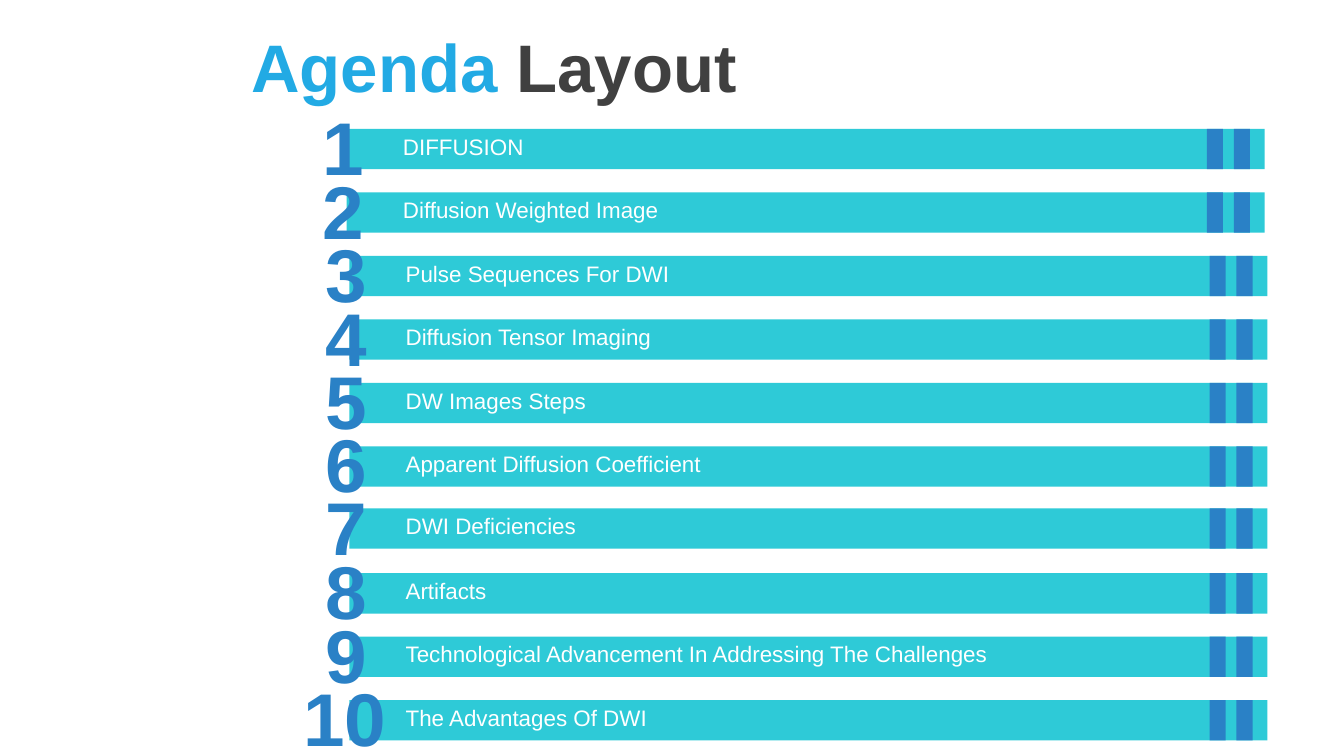
from dataclasses import dataclass

from pptx import Presentation
from pptx.dml.color import RGBColor
from pptx.enum.shapes import MSO_SHAPE
from pptx.enum.text import MSO_ANCHOR, MSO_AUTO_SIZE, PP_ALIGN
from pptx.util import Inches, Pt

RECTANGLE = MSO_SHAPE.RECTANGLE
TOP, MIDDLE = MSO_ANCHOR.TOP, MSO_ANCHOR.MIDDLE
LEFT, CENTER = PP_ALIGN.LEFT, PP_ALIGN.CENTER
GROW, NO_RESIZE = MSO_AUTO_SIZE.SHAPE_TO_FIT_TEXT, MSO_AUTO_SIZE.NONE
TITLE_ONLY = 5

SLIDE_WIDTH = 10
SLIDE_HEIGHT = SLIDE_WIDTH * 9 / 16
TOPICS = (
    "DIFFUSION",
    "Diffusion Weighted Image",
    "Pulse Sequences For DWI",
    "Diffusion Tensor Imaging",
    "DW Images Steps",
    "Apparent Diffusion Coefficient",
    "DWI Deficiencies",
    "Artifacts",
    "Technological Advancement In Addressing The Challenges",
    "The Advantages Of DWI",
)
FIRST_TOP, LAST_TOP = 0.96, 5.21
PITCH = (LAST_TOP - FIRST_TOP) / (len(TOPICS) - 1)
NUDGES = {7: -0.01}
BAR_WIDTH, BAR_HEIGHT = 6.83, 0.3
STRIPE_WIDTH = 0.12
STRIPE_OFFSETS = (6.6, 6.4)


@dataclass(frozen=True)
class Theme:
    """Colours, typeface and type sizes of the agenda."""

    font: str = "Arial"
    background: RGBColor = RGBColor.from_string("FFFFFF")
    accent: RGBColor = RGBColor.from_string("22AAE4")
    heading: RGBColor = RGBColor.from_string("404040")
    bar: RGBColor = RGBColor.from_string("2ECAD7")
    number: RGBColor = RGBColor.from_string("2A81C6")
    topic: RGBColor = RGBColor.from_string("FFFFFF")
    title_size: int = 36
    number_size: int = 40
    topic_size: int = 12


class AgendaSlide:
    """Draws the agenda elements on one slide in a given theme."""

    def __init__(self, slide, theme):
        self.slide = slide
        self.theme = theme
        slide.background.fill.solid()
        slide.background.fill.fore_color.rgb = theme.background

    def run(self, paragraph, words, size, color, bold=False):
        run = paragraph.add_run()
        run.text = words
        run.font.name = self.theme.font
        run.font.size = Pt(size)
        run.font.bold = bold
        run.font.color.rgb = color

    def title(self, left, top, width, height, pieces):
        heading = self.slide.shapes.title
        heading.left, heading.top = Inches(left), Inches(top)
        heading.width, heading.height = Inches(width), Inches(height)
        frame = heading.text_frame
        frame.auto_size = NO_RESIZE
        frame.vertical_anchor = MIDDLE
        paragraph = frame.paragraphs[0]
        paragraph.alignment = LEFT
        for words, color in pieces:
            self.run(paragraph, words, self.theme.title_size, color, True)

    def block(self, left, top, width, color):
        block = self.slide.shapes.add_shape(
            RECTANGLE, Inches(left), Inches(top), Inches(width), Inches(BAR_HEIGHT))
        block.shadow.inherit = False
        block.fill.solid()
        block.fill.fore_color.rgb = color
        block.line.fill.background()

    def label(self, left, top, width, height, anchor, alignment):
        label = self.slide.shapes.add_textbox(
            Inches(left), Inches(top), Inches(width), Inches(height))
        frame = label.text_frame
        frame.word_wrap = True
        frame.auto_size = GROW
        frame.vertical_anchor = anchor
        paragraph = frame.paragraphs[0]
        paragraph.alignment = alignment
        return paragraph

    def agenda_row(self, number, topic, left, top):
        theme = self.theme
        self.block(left, top, BAR_WIDTH, theme.bar)
        for offset in STRIPE_OFFSETS:
            self.block(left + offset, top, STRIPE_WIDTH, theme.number)
        indent, number_width = (0.28, 0.49) if number < 10 else (0.75, 1.43)
        numeral = self.label(left - indent, top - 0.26, number_width, 0.77, MIDDLE, CENTER)
        self.run(numeral, str(number), theme.number_size, theme.number, True)
        caption = self.label(left + 0.32, top - 0.02, 5.47, BAR_HEIGHT, TOP, LEFT)
        self.run(caption, topic, theme.topic_size, theme.topic)


def main():
    presentation = Presentation()
    presentation.slide_width = Inches(SLIDE_WIDTH)
    presentation.slide_height = Inches(SLIDE_HEIGHT)
    theme = Theme()
    layout = presentation.slide_layouts[TITLE_ONLY]
    agenda = AgendaSlide(presentation.slides.add_slide(layout), theme)
    agenda.title(1.77, 0, 8.23, 0.97,
                 (("Agenda ", theme.accent), ("Layout", theme.heading)))
    for number, topic in enumerate(TOPICS, start=1):
        left = 2.58 if number <= 2 else 2.6
        top = FIRST_TOP + (number - 1) * PITCH + NUDGES.get(number, 0)
        agenda.agenda_row(number, topic, left, top)
    presentation.save("out.pptx")


if __name__ == "__main__":
    main()
